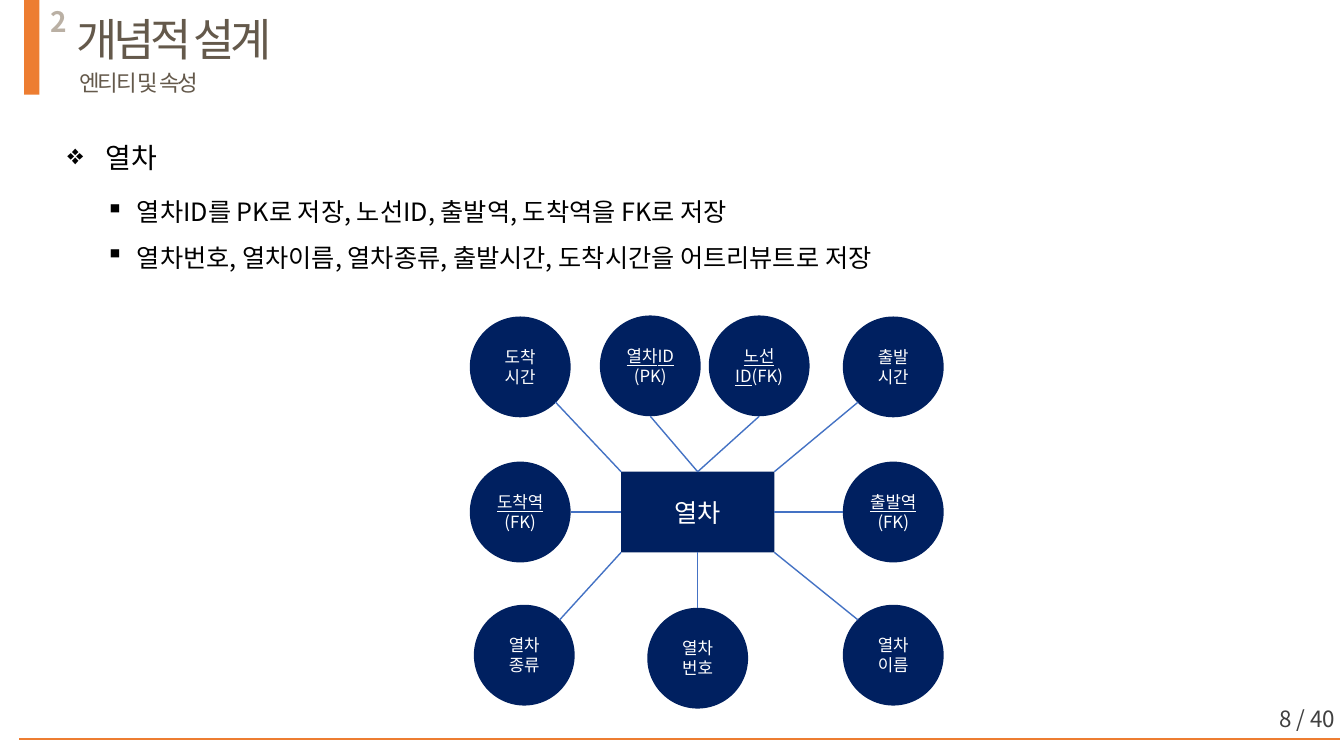
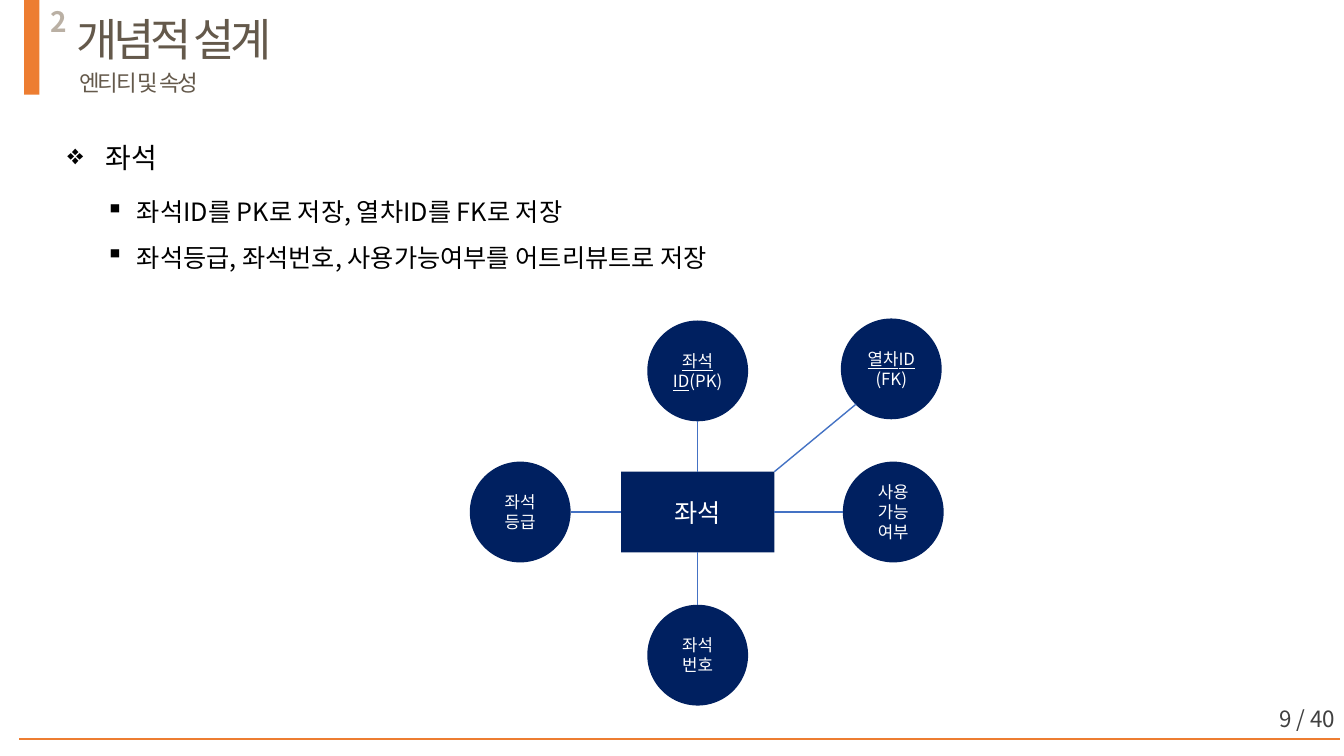
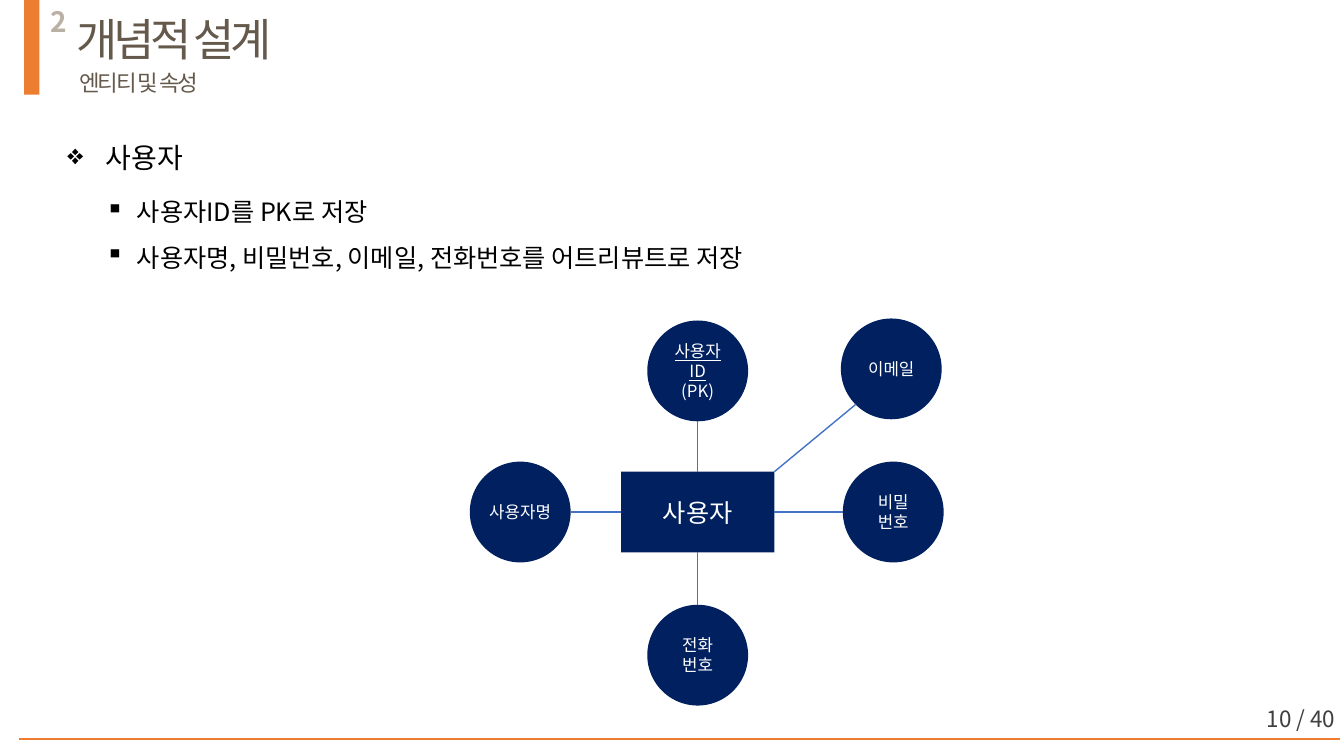
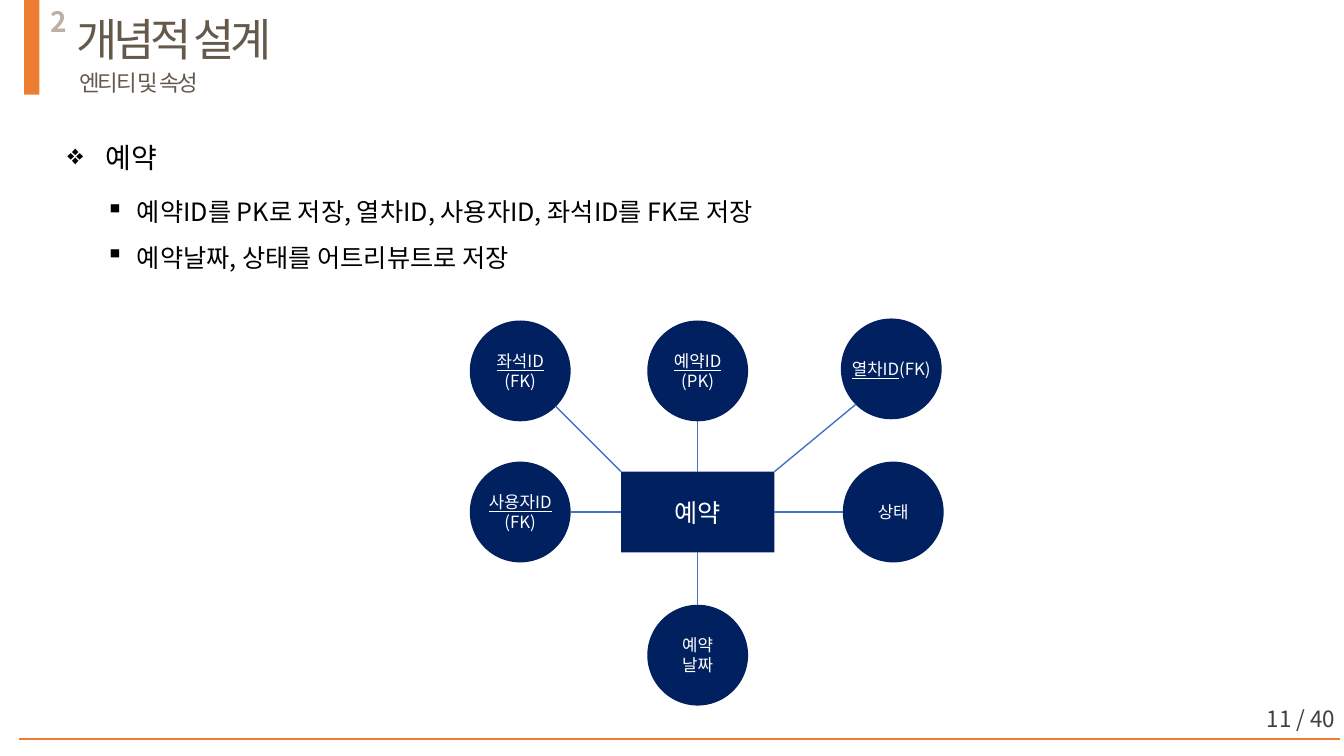
from lxml.etree import SubElement
from pptx import Presentation
from pptx.dml.color import RGBColor
from pptx.enum.shapes import MSO_CONNECTOR, MSO_SHAPE
from pptx.enum.text import MSO_ANCHOR as Anchor, MSO_AUTO_SIZE as AutoSize, PP_ALIGN as Align
from pptx.oxml.ns import qn
from pptx.util import Pt

PX = 9144  # 100 px to the inch
FONT = "Noto Sans CJK KR"
ORANGE = RGBColor(0xED, 0x7D, 0x31)
BROWN = RGBColor(0x64, 0x59, 0x4B)
TAUPE = RGBColor(0xBA, 0xB0, 0xA4)
GREY = RGBColor(0x40, 0x40, 0x40)
NAVY = RGBColor(0x00, 0x20, 0x60)
BLUE = RGBColor(0x44, 0x72, 0xC4)
BLACK = RGBColor(0, 0, 0)
WHITE = RGBColor(255, 255, 255)

FIRST_PAGE, PAGE_COUNT = 8, 40
CIRCLE = 100
ENTITY_W, ENTITY_H = 152, 80
ENTITY_X, ENTITY_Y = 692, 508  # centre of the entity
RECT_SITES = {(0, -1): 0, (-1, 0): 1, (0, 1): 2, (1, 0): 3}

# Circle left and top, side or corner of the entity it joins, whether its text wraps
TOP = (642, 318, 0, -1, True)
TOP_PK = (595, 313, 0, -1, True)
TOP_FK = (703, 313, 0, -1, True)
TOP_LEFT = (466, 318, -1, -1, True)
TOP_RIGHT = (834, 316, 1, -1, False)
OUTER_LEFT = (466, 314, -1, -1, False)
OUTER_RIGHT = (836, 314, 1, -1, False)
LEFT = (466, 458, -1, 0, False)
RIGHT = (836, 458, 1, 0, True)
BOTTOM = (642, 600, 0, 1, True)
BOTTOM_LOW = (642, 603, 0, 1, True)
BOTTOM_LEFT = (470, 600, -1, 1, True)
BOTTOM_RIGHT = (836, 600, 1, 1, True)

# Entity, its two rules, its attributes; key names before "|" are underlined
ENTITIES = [
    ("열차",
     ["열차ID를 PK로 저장, 노선ID, 출발역, 도착역을 FK로 저장",
      "열차번호, 열차이름, 열차종류, 출발시간, 도착시간을 어트리뷰트로 저장"],
     [(TOP_PK, "열차ID|\n(PK)"), (TOP_FK, "노선ID|(FK)"),
      (OUTER_LEFT, "도착\n시간"), (OUTER_RIGHT, "출발\n시간"),
      (LEFT, "도착역|\n(FK)"), (RIGHT, "출발역|\n(FK)"),
      (BOTTOM_LEFT, "열차\n종류"), (BOTTOM_LOW, "열차\n번호"),
      (BOTTOM_RIGHT, "열차\n이름")]),
    ("좌석",
     ["좌석ID를 PK로 저장, 열차ID를 FK로 저장",
      "좌석등급, 좌석번호, 사용가능여부를 어트리뷰트로 저장"],
     [(TOP, "좌석ID|(PK)"), (TOP_RIGHT, "열차ID|\n(FK)"),
      (LEFT, "좌석\n등급"), (RIGHT, "사용\n가능\n여부"), (BOTTOM, "좌석\n번호")]),
    ("사용자",
     ["사용자ID를 PK로 저장",
      "사용자명, 비밀번호, 이메일, 전화번호를 어트리뷰트로 저장"],
     [(TOP, "사용자ID| (PK)"), (TOP_RIGHT, "이메일"),
      (LEFT, "사용자명"), (RIGHT, "비밀\n번호"), (BOTTOM, "전화\n번호")]),
    ("예약",
     ["예약ID를 PK로 저장, 열차ID, 사용자ID, 좌석ID를 FK로 저장",
      "예약날짜, 상태를 어트리뷰트로 저장"],
     [(TOP, "예약ID| (PK)"), (TOP_LEFT, "좌석ID|\n(FK)"),
      (TOP_RIGHT, "열차ID|(FK)"), (LEFT, "사용자ID|\n(FK)"),
      (RIGHT, "상태"), (BOTTOM, "예약\n날짜")]),
]


def write(shape, lines, size, color, align=Align.LEFT, anchor=Anchor.TOP,
          wrap=True, bold=False, tracking=0, bullet=None, indent=0):
    """Fill a shape with one paragraph per line; text before "|" is underlined."""
    frame = shape.text_frame
    frame.word_wrap = wrap
    frame.vertical_anchor = anchor
    for index, line in enumerate(lines):
        paragraph = frame.add_paragraph() if index else frame.paragraphs[0]
        paragraph.alignment = align
        if bullet:
            paragraph.line_spacing = 1.5
            properties = paragraph._p.get_or_add_pPr()
            properties.set("marL", str(indent * PX))
            properties.set("indent", str(-indent * PX))
            SubElement(properties, qn("a:buChar")).set("char", bullet)
        font = paragraph.font
        font.name, font.size, font.bold = FONT, Pt(size), bold
        font.color.rgb = color
        SubElement(font._element, qn("a:ea")).set("typeface", FONT)
        if tracking:
            font._element.set("spc", str(tracking))
        key, _, rest = line.rpartition("|")
        if key:
            key_run = paragraph.add_run()
            key_run.text = key
            key_run.font.underline = True
        if rest:
            paragraph.add_run().text = rest


def add_line(slide, start, end, color):
    line = slide.shapes.add_connector(
        MSO_CONNECTOR.STRAIGHT, *(value * PX for value in start + end))
    line.line.color.rgb = color
    line.line.width = Pt(1)
    SubElement(line._element.spPr, qn("a:effectLst"))
    return line


prs = Presentation()
prs.slide_width, prs.slide_height = 1333 * PX, 750 * PX

for page, (entity, rules, attributes) in enumerate(ENTITIES, FIRST_PAGE):
    slide = prs.slides.add_slide(prs.slide_layouts[5])
    shapes = slide.shapes

    title = shapes.title
    title.left, title.top, title.width, title.height = (v * PX for v in (66, 7, 219, 64))
    write(title, ["개념적 설계"], 32, BROWN, wrap=False, tracking=-300)
    title.text_frame.auto_size = AutoSize.SHAPE_TO_FIT_TEXT

    texts = [
        ((40, 0, 51, 44), ["2"], 20, TAUPE, dict(bold=True)),
        ((69, 64, 142, 37), ["엔티티 및 속성"], 16, BROWN, dict(wrap=False, tracking=-150)),
        ((57, 118, 57 + 27 * len(entity), 56), [entity], 20, BLACK,
         dict(wrap=False, bullet="❖", indent=38)),
        ((95, 175, 853, 97), rules, 18, BLACK, dict(bullet="▪", indent=31)),
        ((1034, 693, 300, 40), [f"{page} / {PAGE_COUNT}"], 16, GREY,
         dict(align=Align.RIGHT, anchor=Anchor.MIDDLE)),
    ]
    for place, lines, size, color, options in texts:
        write(shapes.add_textbox(*(v * PX for v in place)), lines, size, color, **options)

    add_line(slide, (19, 733), (1329, 733), ORANGE)

    blocks = [
        (MSO_SHAPE.RECTANGLE, (24, 0, 15, 94), ORANGE, "", 18, True),
        (MSO_SHAPE.RECTANGLE,
         (ENTITY_X - ENTITY_W // 2, ENTITY_Y - ENTITY_H // 2, ENTITY_W, ENTITY_H),
         NAVY, entity, 18, True),
    ]
    for (left, top, _, _, wrap), label in attributes:
        blocks.append((MSO_SHAPE.OVAL, (left, top, CIRCLE, CIRCLE), NAVY, label, 12, wrap))
    drawn = []
    for kind, place, color, label, size, wrap in blocks:
        block = shapes.add_shape(kind, *(v * PX for v in place))
        block.shadow.inherit = False
        block.fill.solid()
        block.fill.fore_color.rgb = color
        block.line.fill.background()
        if label:
            write(block, label.split("\n"), size, WHITE, Align.CENTER, Anchor.MIDDLE, wrap)
        drawn.append(block)
    entity_box = drawn[1]

    for (left, top, across, down, _), _ in attributes:
        reach = 35 if across and down else CIRCLE // 2
        entity_end = (ENTITY_X + across * ENTITY_W // 2, ENTITY_Y + down * ENTITY_H // 2)
        circle_end = (left + CIRCLE // 2 - across * reach, top + CIRCLE // 2 - down * reach)
        link = add_line(slide, entity_end, circle_end, BLUE)
        if (across, down) in RECT_SITES:
            link.begin_connect(entity_box, RECT_SITES[across, down])

prs.save("out.pptx")
